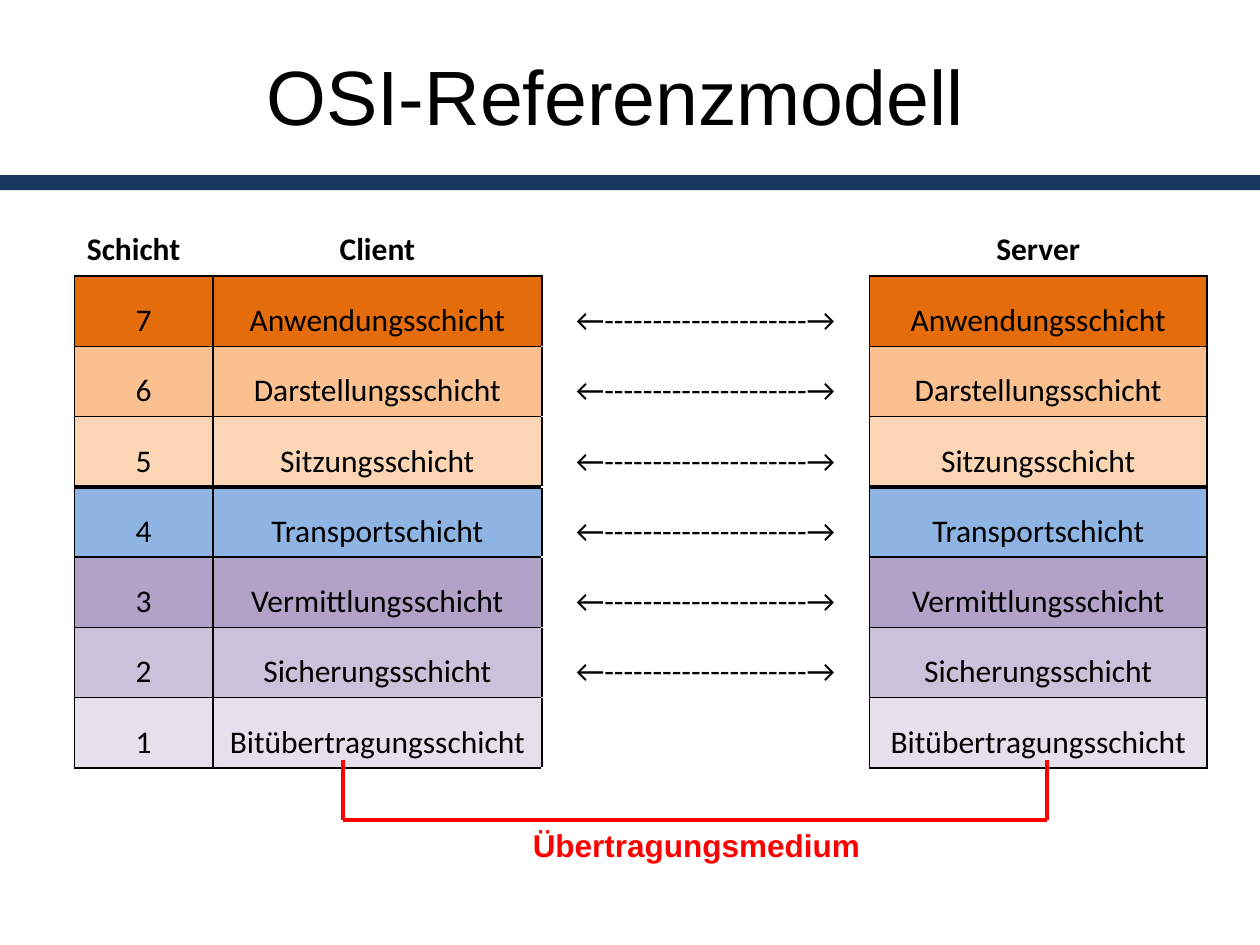
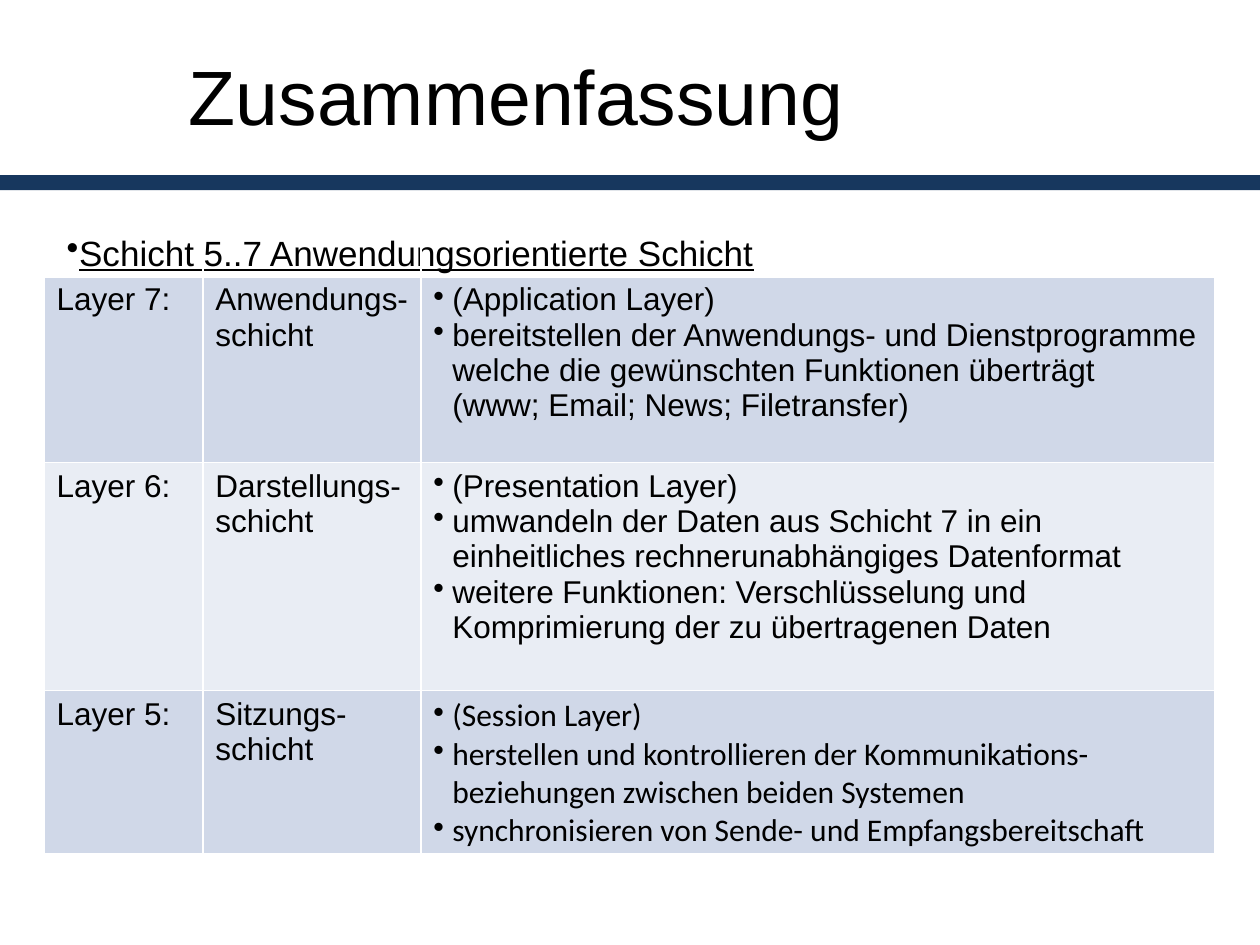
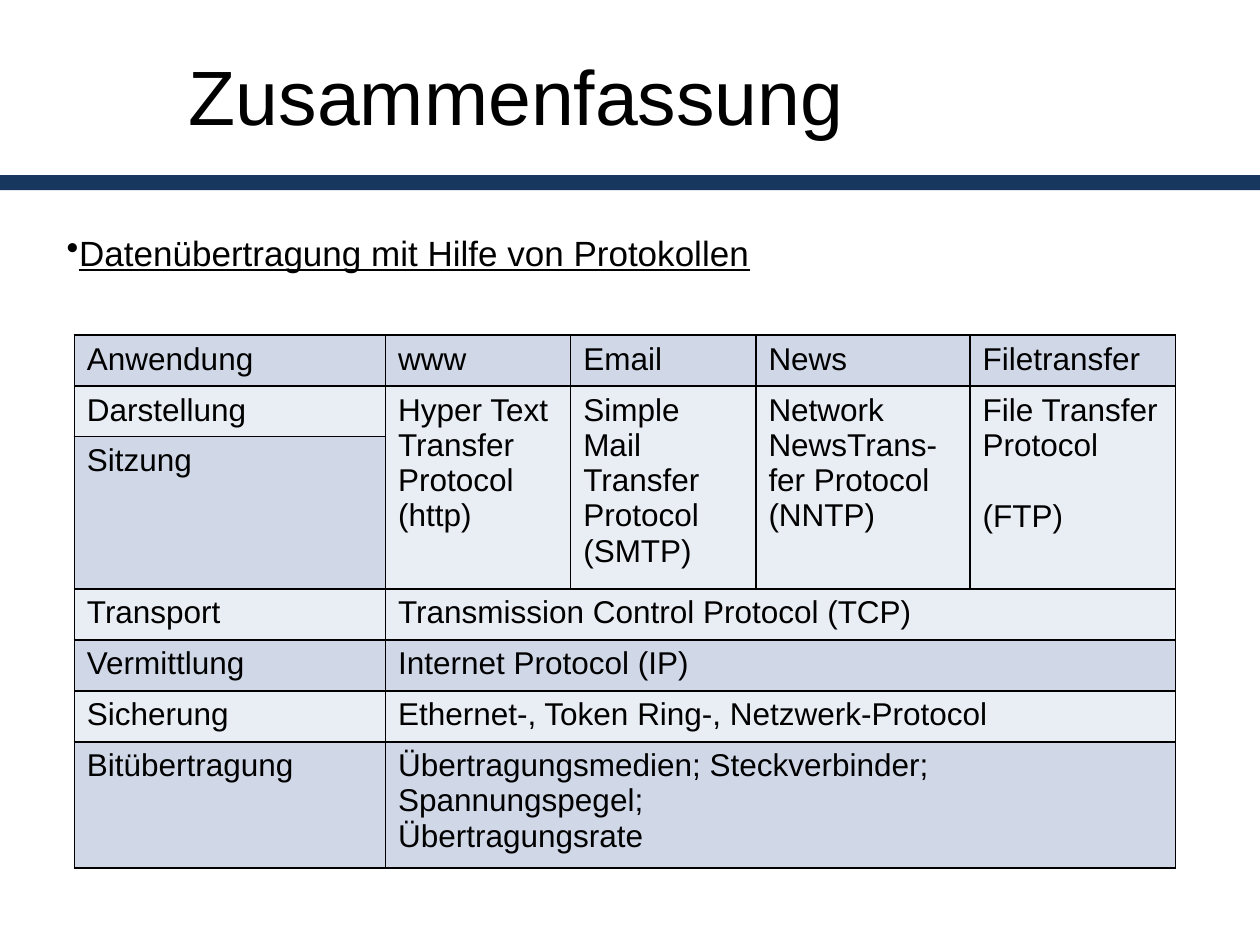
from dataclasses import dataclass
from typing import NamedTuple

from lxml.etree import SubElement
from pptx import Presentation
from pptx.dml.color import RGBColor
from pptx.enum.shapes import MSO_CONNECTOR, MSO_SHAPE
from pptx.enum.text import MSO_ANCHOR, MSO_AUTO_SIZE, PP_ALIGN
from pptx.oxml.ns import qn
from pptx.util import Inches, Pt

BLACK = RGBColor(0x00, 0x00, 0x00)
WHITE = RGBColor(0xFF, 0xFF, 0xFF)
NAVY = RGBColor(0x17, 0x37, 0x5E)
RED = RGBColor(0xFF, 0x00, 0x00)
BAND_DARK = RGBColor(0xD0, 0xD8, 0xE8)
BAND_LIGHT = RGBColor(0xE9, 0xED, 0xF4)

SANS = "Arial"
TABLE_SANS = "Calibri"
BODY_SIZE = 18
WIDTH, HEIGHT = Inches(10), Inches(7.5)


def across(percent: float) -> int:
    return round(WIDTH * percent / 100)


def down(percent: float) -> int:
    return round(HEIGHT * percent / 100)


@dataclass(frozen=True)
class Box:
    """A rectangle in percent of the slide's width and height."""
    left: float
    top: float
    width: float
    height: float

    def emu(self) -> tuple[int, int, int, int]:
        return across(self.left), down(self.top), across(self.width), down(self.height)


@dataclass(frozen=True)
class Line:
    text: str
    bullet: bool = False
    indent: float = 0
    gap: float = 0


@dataclass(frozen=True)
class Style:
    font: str = SANS
    size: float = BODY_SIZE
    bold: bool = False
    underline: bool = False
    color: RGBColor = BLACK
    align: PP_ALIGN = PP_ALIGN.LEFT
    spacing: float = 1.0


class Edge(NamedTuple):
    color: RGBColor
    width: float = 1


class Edges(NamedTuple):
    """Cell borders, in the order the file format asks for."""
    left: Edge
    right: Edge
    top: Edge
    bottom: Edge


BLACK_EDGES = Edges(*[Edge(BLACK)] * 4)
WHITE_EDGES = Edges(*[Edge(WHITE)] * 4)
HEAD_EDGES = WHITE_EDGES._replace(bottom=Edge(BLACK))
THICK_WHITE_EDGES = WHITE_EDGES._replace(bottom=Edge(WHITE, 3))
GAP_EDGES = BLACK_EDGES._replace(top=Edge(WHITE), bottom=Edge(WHITE))

TITLE_STYLE = Style(size=44, align=PP_ALIGN.CENTER)
HEADING_STYLE = Style(size=20, underline=True, spacing=1.5)
BODY = Style()
LAYER_STYLE = Style(TABLE_SANS, align=PP_ALIGN.CENTER, spacing=1.5)
HEAD_STYLE = Style(TABLE_SANS, bold=True, align=PP_ALIGN.CENTER)

BAR = Box(0, 18.53, 100, 1.6)
HEADING = Box(4.3, 21.6, 93.7, 7.2)
WIDE_TITLE, NARROW_TITLE = 93.7, 78


class Layer(NamedTuple):
    name: str
    color: RGBColor


LAYERS = [
    Layer("Anwendungsschicht", RGBColor(0xE4, 0x6C, 0x0A)),
    Layer("Darstellungsschicht", RGBColor(0xFA, 0xC0, 0x90)),
    Layer("Sitzungsschicht", RGBColor(0xFC, 0xD5, 0xB5)),
    Layer("Transportschicht", RGBColor(0x8E, 0xB4, 0xE3)),
    Layer("Vermittlungsschicht", RGBColor(0xB3, 0xA2, 0xC7)),
    Layer("Sicherungsschicht", RGBColor(0xCC, 0xC1, 0xDA)),
    Layer("Bitübertragungsschicht", RGBColor(0xE6, 0xE0, 0xEC)),
]
TRANSPORT = 4
EXCHANGE = "←---------------------→"


def point(text: str) -> Line:
    return Line(text, bullet=True, indent=0.15)


def more(text: str) -> Line:
    """A line that continues the point above it."""
    return Line(text, indent=0.15)


class Summary(NamedTuple):
    layer: str
    name: str
    details: list[Line]
    font: str = SANS


SUMMARIES = [
    Summary("Layer 7:", "Anwendungs-", [
        point("(Application Layer)"),
        point("bereitstellen der Anwendungs- und Dienstprogramme"),
        more("welche die gewünschten Funktionen überträgt"),
        more("(www; Email; News; Filetransfer)")]),
    Summary("Layer 6:", "Darstellungs-", [
        point("(Presentation Layer)"),
        point("umwandeln der Daten aus Schicht 7 in ein"),
        more("einheitliches rechnerunabhängiges Datenformat"),
        point("weitere Funktionen: Verschlüsselung und"),
        more("Komprimierung der zu übertragenen Daten")]),
    Summary("Layer 5:", "Sitzungs-", [
        point("(Session Layer)"),
        point("herstellen und kontrollieren der Kommunikations-"),
        more("beziehungen zwischen beiden Systemen"),
        point("synchronisieren von Sende- und Empfangsbereitschaft")], TABLE_SANS),
]

PROTOCOL_ROWS = [
    ["Anwendung", "www", "Email", "News", "Filetransfer"],
    ["Darstellung",
     "Hyper Text Transfer Protocol\n(http)",
     "Simple Mail Transfer Protocol\n(SMTP)",
     "Network NewsTrans-fer Protocol\n(NNTP)",
     [Line("File Transfer Protocol"), Line("(FTP)", gap=20.7)]],
    ["Sitzung"],
    ["Transport", "Transmission Control Protocol (TCP)"],
    ["Vermittlung", "Internet Protocol (IP)"],
    ["Sicherung", "Ethernet-, Token Ring-, Netzwerk-Protocol"],
    ["Bitübertragung",
     "Übertragungsmedien; Steckverbinder; Spannungspegel;\nÜbertragungsrate"],
]


def write(tf, content: str | list[Line], style: Style) -> None:
    lines = [Line(t) for t in content.split("\n")] if isinstance(content, str) else content
    for i, line in enumerate(lines):
        p = tf.add_paragraph() if i else tf.paragraphs[0]
        p.text = line.text
        p.alignment = style.align
        p.line_spacing = style.spacing
        if line.gap:
            p.space_before = Pt(line.gap)
        p.font.name = style.font
        p.font.size = Pt(style.size)
        p.font.bold = style.bold
        p.font.underline = style.underline
        p.font.color.rgb = style.color
        p_pr = p._p.get_or_add_pPr()
        if line.indent:
            p_pr.set("marL", str(Inches(line.indent)))
        if line.bullet:
            p_pr.set("indent", str(-Inches(line.indent)))
            bullet = SubElement(p_pr, qn("a:buChar"), char="•")
            p_pr.find(qn("a:defRPr")).addprevious(bullet)


def add_slide(prs, title: str, title_width: float):
    s = prs.slides.add_slide(prs.slide_layouts[5])
    sp = s.shapes.title
    sp.left, sp.top, sp.width, sp.height = Box(2, 2.8, title_width, 14.53).emu()
    tf = sp.text_frame
    tf.auto_size = MSO_AUTO_SIZE.NONE
    tf.vertical_anchor = MSO_ANCHOR.MIDDLE
    write(tf, title, TITLE_STYLE)
    bar = s.shapes.add_shape(MSO_SHAPE.RECTANGLE, *BAR.emu())
    bar.shadow.inherit = False
    bar.fill.solid()
    bar.fill.fore_color.rgb = NAVY
    bar.line.fill.background()
    return s


def add_heading(s, text: str) -> None:
    tf = s.shapes.add_textbox(*HEADING.emu()).text_frame
    tf.word_wrap = True
    write(tf, [Line(text, bullet=True, indent=0.1)], HEADING_STYLE)


def add_grid(s, left: float, top: float, columns: list[float], rows: list[float]):
    """Add an unbanded table whose tracks are percent of the slide."""
    box = Box(left, top, sum(columns), sum(rows))
    table = s.shapes.add_table(len(rows), len(columns), *box.emu()).table
    table.first_row = table.horz_banding = False
    for column, width in zip(table.columns, columns):
        column.width = across(width)
    for row, height in zip(table.rows, rows):
        row.height = down(height)
    return table


def fill_cell(cell, content: str | list[Line], style: Style, edges: Edges,
              color: RGBColor | None = None) -> None:
    tc_pr = cell._tc.get_or_add_tcPr()
    for side, edge in zip("LRTB", edges):
        ln = SubElement(tc_pr, qn(f"a:ln{side}"), w=str(Pt(edge.width)))
        fill = SubElement(ln, qn("a:solidFill"))
        SubElement(fill, qn("a:srgbClr"), val=str(edge.color))
    if color is None:
        cell.fill.background()
    else:
        cell.fill.solid()
        cell.fill.fore_color.rgb = color
    write(cell.text_frame, content, style)


def layer_edges(number: int) -> Edges:
    """Set off the transport layer from the application layers."""
    thick = Edge(BLACK, 3)
    if number == TRANSPORT:
        return BLACK_EDGES._replace(top=thick)
    if number == TRANSPORT + 1:
        return BLACK_EDGES._replace(bottom=thick)
    return BLACK_EDGES


def add_medium(s) -> None:
    """Draw the red link below the two protocol stacks."""
    client, server, top, bottom = 27.2, 83.1, 80.4, 86.8
    group = s.shapes.add_group_shape()
    for x1, y1, x2, y2 in [(client, top, client, bottom),
                           (server, top, server, bottom),
                           (server, bottom, client, bottom)]:
        link = group.shapes.add_connector(
            MSO_CONNECTOR.STRAIGHT, across(x1), down(y1), across(x2), down(y2))
        link.line.color.rgb = RED
        link.line.width = Pt(2.25)
        SubElement(link._element.spPr, qn("a:effectLst"))
    tf = group.shapes.add_textbox(*Box(41.3, bottom, 28.2, 5.33).emu()).text_frame
    tf.word_wrap = False
    tf.auto_size = MSO_AUTO_SIZE.SHAPE_TO_FIT_TEXT
    write(tf, "Übertragungsmedium", Style(bold=True, color=RED))


def build_model(prs) -> None:
    s = add_slide(prs, "OSI-Referenzmodell", WIDE_TITLE)
    table = add_grid(s, 5.9, 23.73, [11, 26.1, 26, 26.8], [5.47] + [7.43] * len(LAYERS))
    for c, label in enumerate(["Schicht", "Client", "", "Server"]):
        style = HEAD_STYLE if c else Style(TABLE_SANS, bold=True)
        edges = HEAD_EDGES if label else THICK_WHITE_EDGES
        fill_cell(table.cell(0, c), label, style, edges, WHITE)
    for r, layer in enumerate(LAYERS, 1):
        number = len(LAYERS) + 1 - r
        exchange = EXCHANGE if number > 1 else ""
        for c, text in enumerate([str(number), layer.name, exchange, layer.name]):
            gap = c == 2
            fill_cell(table.cell(r, c), text, LAYER_STYLE,
                      GAP_EDGES if gap else layer_edges(number),
                      WHITE if gap else layer.color)
    add_medium(s)


def band(row: int) -> RGBColor:
    return BAND_DARK if row % 2 else BAND_LIGHT


def build_layers(prs) -> None:
    s = add_slide(prs, "Zusammenfassung", NARROW_TITLE)
    add_heading(s, "Schicht 5..7 Anwendungsorientierte Schicht")
    table = add_grid(s, 3.5, 20.67, [12.6, 17.3, 63], [8.53, 19.73, 24.13, 17.33])
    for c in range(3):
        fill_cell(table.cell(0, c), "", BODY, THICK_WHITE_EDGES)
    for r, row in enumerate(SUMMARIES, 1):
        contents = [row.layer, f"{row.name}\nschicht", row.details]
        for c, content in enumerate(contents):
            style = Style(row.font) if c == 2 else BODY
            fill_cell(table.cell(r, c), content, style, WHITE_EDGES, band(r))


def build_protocols(prs) -> None:
    s = add_slide(prs, "Zusammenfassung", NARROW_TITLE)
    add_heading(s, "Datenübertragung mit Hilfe von Protokollen")
    table = add_grid(s, 5.9, 30, [24.7, 14.7, 14.7, 17, 16.3],
                     [5.47, 5.4, 5.33, 16.1, 5.4, 5.4, 5.4, 13.33])
    last = len(table.columns) - 1
    for c in range(last + 1):
        fill_cell(table.cell(0, c), "", BODY, HEAD_EDGES)
    for r, row in enumerate(PROTOCOL_ROWS, 1):
        for c in range(last + 1):
            content = row[c] if c < len(row) else ""
            fill_cell(table.cell(r, c), content, BODY, BLACK_EDGES, band(r))
        if len(row) == 2:
            table.cell(r, 1).merge(table.cell(r, last))
    for c in range(1, last + 1):
        table.cell(2, c).merge(table.cell(3, c))


def main() -> None:
    prs = Presentation()
    prs.slide_width, prs.slide_height = WIDTH, HEIGHT
    build_model(prs)
    build_layers(prs)
    build_protocols(prs)
    prs.save("out.pptx")


if __name__ == "__main__":
    main()
